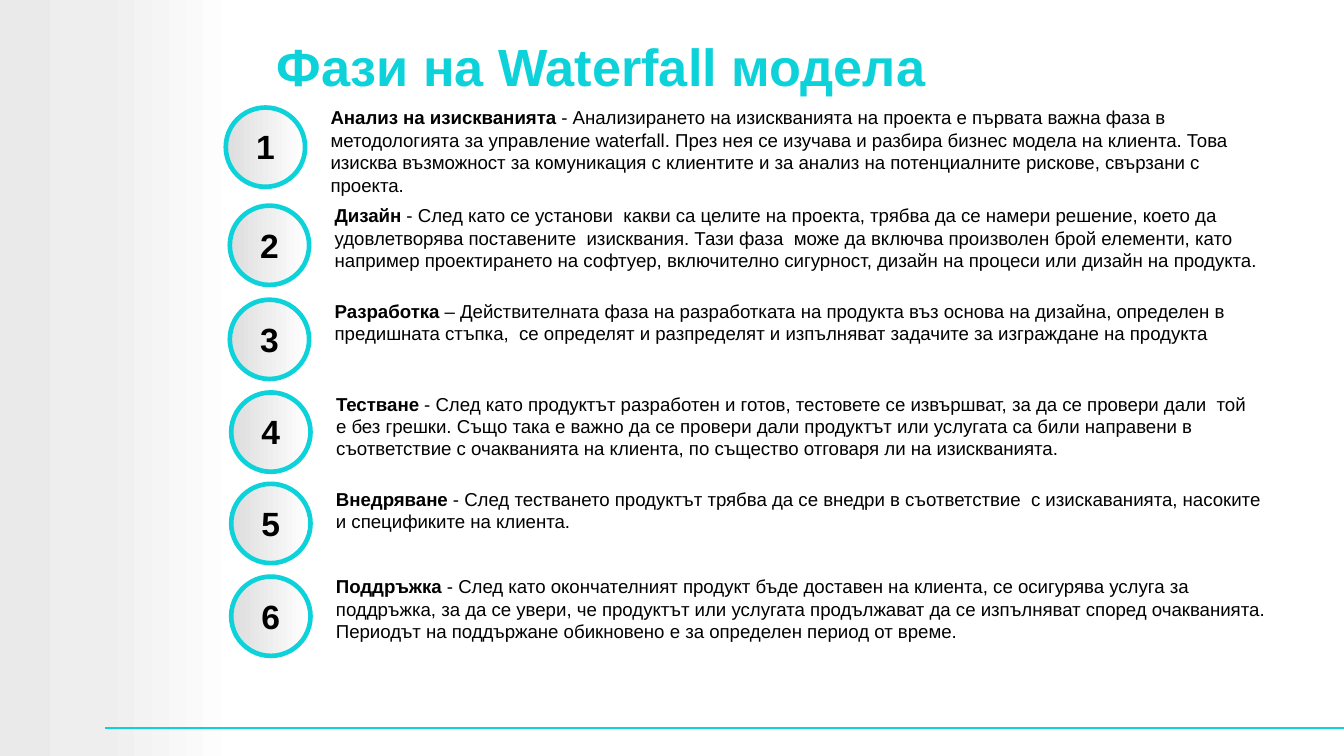
"""Build the slide on the phases of the Waterfall model."""
from copy import deepcopy

from lxml import etree
from pptx import Presentation
from pptx.dml.color import RGBColor
from pptx.enum.shapes import MSO_CONNECTOR, MSO_SHAPE
from pptx.enum.text import MSO_ANCHOR, MSO_AUTO_SIZE, PP_ALIGN
from pptx.oxml.ns import qn
from pptx.util import Inches, Pt

RECT, OVAL = MSO_SHAPE.RECTANGLE, MSO_SHAPE.OVAL
STRAIGHT = MSO_CONNECTOR.STRAIGHT
TOP, MIDDLE = MSO_ANCHOR.TOP, MSO_ANCHOR.MIDDLE
LEFT, CENTER = PP_ALIGN.LEFT, PP_ALIGN.CENTER
NO_FIT = MSO_AUTO_SIZE.NONE
TITLE_ONLY = 5

WIDTH = 10
HEIGHT = WIDTH * 9 / 16
CIRCLE = 0.59
CIRCLE_STOPS = [(0, "DDDDDD"), (1, "FFFFFF")]
BAND_STOPS = [(0, "EAEAEA"), (0.42, "EEEEEE"), (1, "FFFFFF")]

# (circle left, circle top), (text left, top, width, height), name, description
PHASES = [
    ((1.68, 0.8), (2.41, 0.74, 7.03, 0.9), "Анализ на изискванията",
     " - Анализирането на изискванията на проекта е първата важна фаза в "
     "методологията за управление waterfall. През нея се изучава и разбира "
     "бизнес модела на клиента. Това изисква възможност за комуникация с "
     "клиентите и за анализ на потенциалните рискове, свързани с проекта."),
    ((1.71, 1.53), (2.44, 1.47, 7.15, 0.55), "Дизайн",
     " - След като се установи  какви са целите на проекта, трябва да се "
     "намери решение, което да удовлетворява поставените  изисквания. Тази "
     "фаза  може да включва произволен брой елементи, като например "
     "проектирането на софтуер, включително сигурност, дизайн на процеси или "
     "дизайн на продукта."),
    ((1.71, 2.23), (2.44, 2.18, 6.99, 0.4), "Разработка",
     " – Действителната фаза на разработката на продукта въз основа на "
     "дизайна, определен в предишната стъпка,  се определят и разпределят и "
     "изпълняват задачите за изграждане на продукта"),
    ((1.72, 2.92), (2.45, 2.87, 6.99, 0.55), "Тестване",
     " - След като продуктът разработен и готов, тестовете се извършват, за "
     "да се провери дали  той  е без грешки. Също така е важно да се провери "
     "дали продуктът или услугата са били направени в съответствие с "
     "очакванията на клиента, по същество отговаря ли на изискванията."),
    ((1.72, 3.6), (2.45, 3.58, 7.03, 0.4), "Внедряване",
     " - След тестването продуктът трябва да се внедри в съответствие  с "
     "изискаванията, насоките и спецификите на клиента."),
    ((1.72, 4.29), (2.45, 4.23, 7.03, 0.55), "Поддръжка",
     " - След като окончателният продукт бъде доставен на клиента, се "
     "осигурява услуга за поддръжка, за да се увери, че продуктът или "
     "услугата продължават да се изпълняват според очакванията. Периодът на "
     "поддържане обикновено е за определен период от време."),
]


def rgb(value):
    return RGBColor.from_string(value)


class Deck:
    font = "Arial"
    accent = "0DD2D9"
    ink = "000000"
    inset = 0.05

    def __init__(self, slide):
        self.slide = slide

    def frame(self, sp, anchor, left=inset, top=inset):
        tf = sp.text_frame
        tf.word_wrap = True
        tf.auto_size = NO_FIT
        tf.vertical_anchor = anchor
        tf.margin_left, tf.margin_top = Inches(left), Inches(top)
        tf.margin_right = tf.margin_bottom = Inches(self.inset)
        return tf

    def run(self, p, text, size, color, bold=True):
        r = p.add_run()
        r.text = text
        r.font.name, r.font.size, r.font.bold = self.font, Pt(size), bold
        r.font.color.rgb = rgb(color)

    def title(self, text, box):
        sp = self.slide.shapes.title
        sp.left, sp.top, sp.width, sp.height = map(Inches, box)
        p = self.frame(sp, MIDDLE, left=0.33, top=0.12).paragraphs[0]
        p.alignment = LEFT
        self.run(p, text, 28, self.accent)

    def gradient_shape(self, shapes, kind, box, stops):
        sp = shapes.add_shape(kind, *map(Inches, box))
        sp.shadow.inherit = False
        sp.line.fill.background()
        sp.fill.gradient()
        sp.fill.gradient_angle = 0
        gs_list = sp._element.spPr.find(".//" + qn("a:gsLst"))
        for _ in stops[2:]:
            gs_list.append(deepcopy(gs_list[0]))
        for stop, (position, color) in zip(sp.fill.gradient_stops, stops):
            stop.position = position
            stop.color.rgb = rgb(color)
        return sp

    def band(self, box):
        self.gradient_shape(self.slide.shapes, RECT, box, BAND_STOPS)

    def number(self, value, left, top):
        shapes = self.slide.shapes.add_group_shape().shapes
        box = left, top, CIRCLE, CIRCLE
        sp = self.gradient_shape(shapes, OVAL, box, CIRCLE_STOPS)
        sp.line.color.rgb = rgb(self.accent)
        sp.line.width = Pt(2.5)
        label = left + 0.15, top + 0.1, 0.29, 0.38
        sp = shapes.add_textbox(*map(Inches, label))
        p = self.frame(sp, MIDDLE).paragraphs[0]
        p.alignment = CENTER
        self.run(p, str(value), 18, self.ink)

    def description(self, name, text, box):
        sp = self.slide.shapes.add_textbox(*map(Inches, box))
        p = self.frame(sp, TOP).paragraphs[0]
        self.run(p, name, 10, self.ink)
        self.run(p, text, 10, self.ink, bold=False)

    def line(self, *ends):
        cx = self.slide.shapes.add_connector(STRAIGHT, *map(Inches, ends))
        cx.line.color.rgb = rgb(self.accent)
        cx.line.width = Pt(1)
        etree.SubElement(cx._element.spPr, qn("a:effectLst"))


def main():
    prs = Presentation()
    prs.slide_width, prs.slide_height = Inches(WIDTH), Inches(HEIGHT)
    deck = Deck(prs.slides.add_slide(prs.slide_layouts[TITLE_ONLY]))
    deck.band((0, 0, 1.77, HEIGHT))
    deck.line(0.78, 5.42, WIDTH, 5.42)
    deck.title("Фази на Waterfall модела", (1.73, 0.03, 8.27, 0.85))
    for value, (circle, box, name, text) in enumerate(PHASES, 1):
        deck.number(value, *circle)
        deck.description(name, text, box)
    prs.save("out.pptx")


if __name__ == "__main__":
    main()
